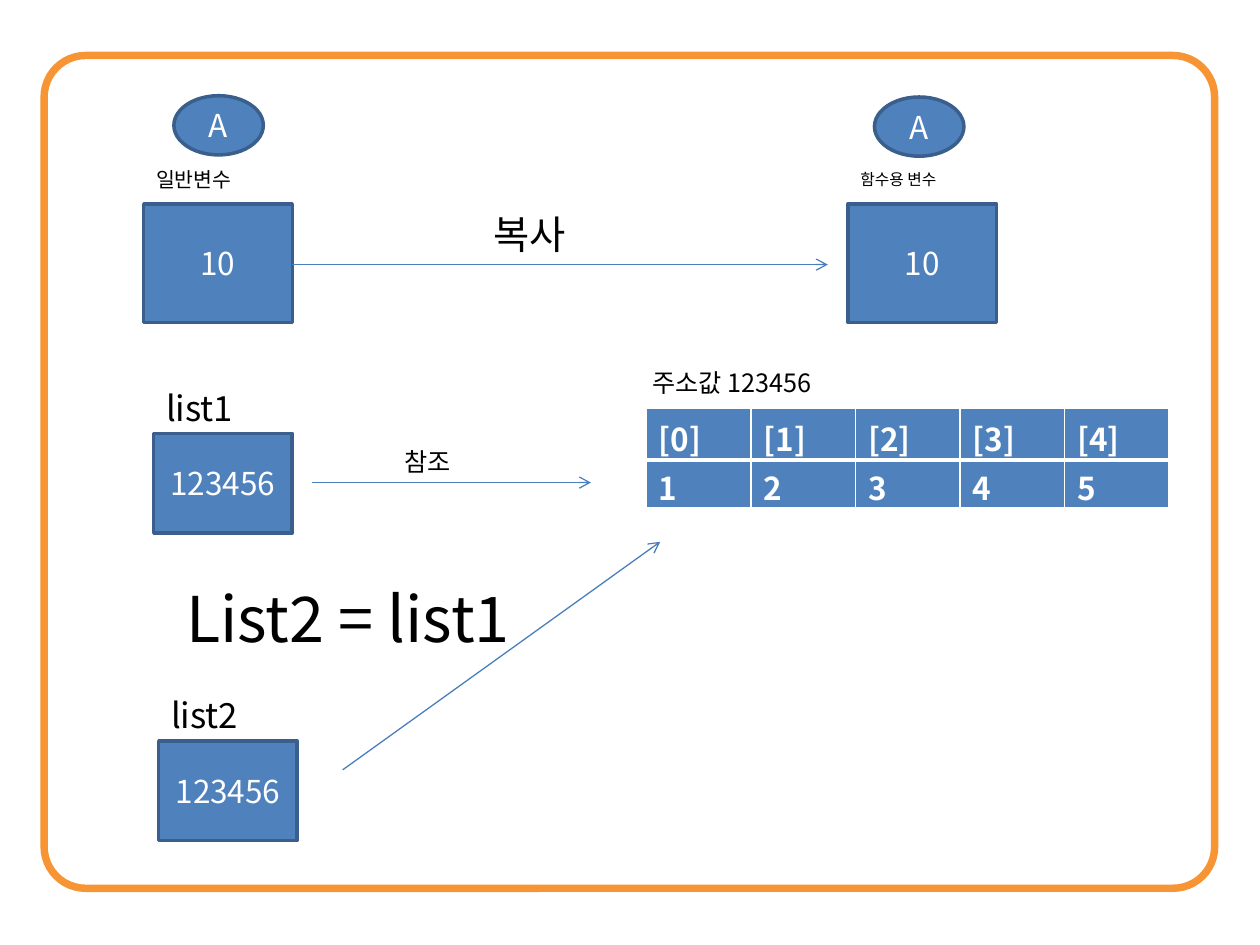
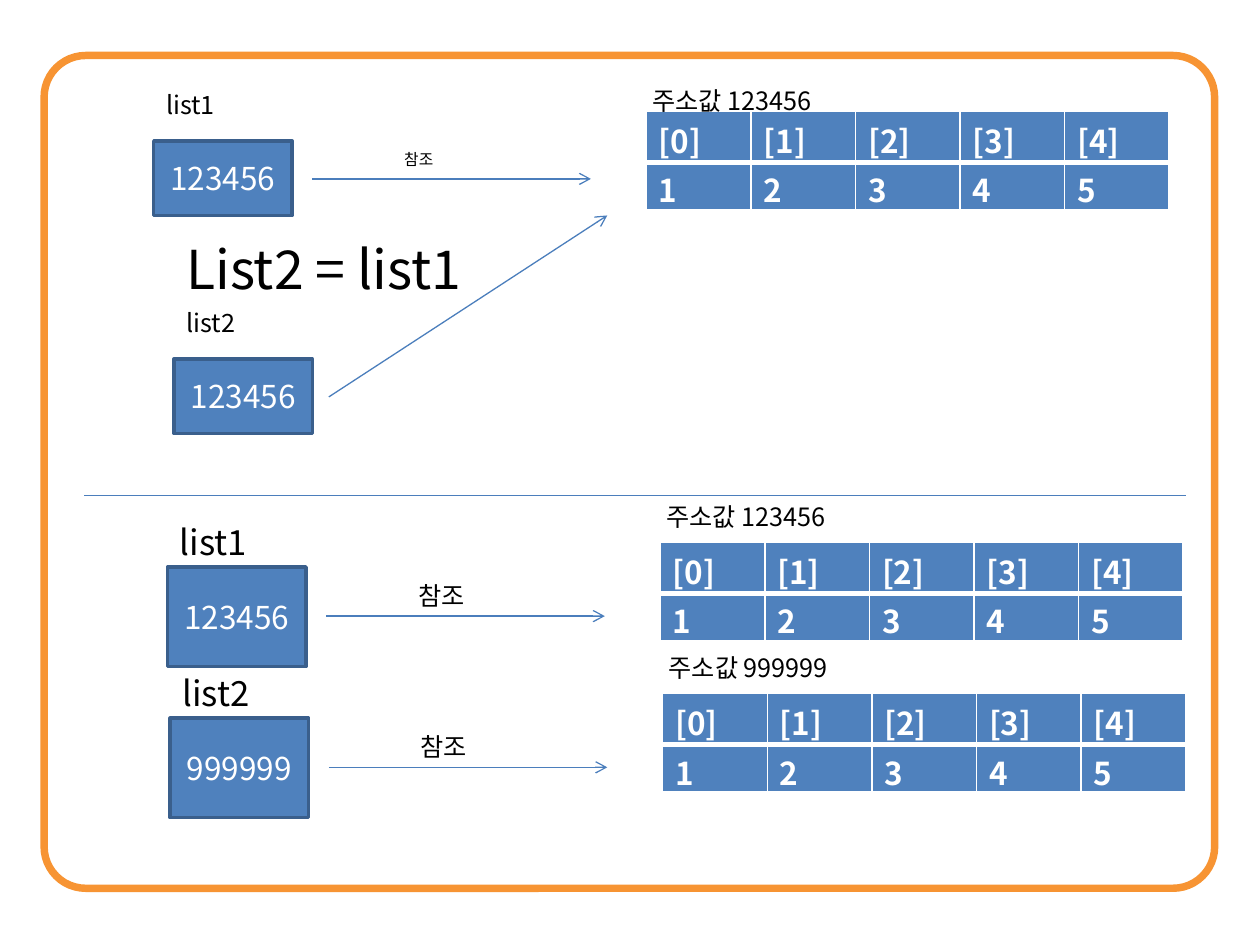
from collections import namedtuple

from lxml.etree import SubElement
from pptx import Presentation
from pptx.dml.color import RGBColor
from pptx.enum.shapes import MSO_CONNECTOR as Connector, MSO_SHAPE as Shape
from pptx.enum.text import MSO_ANCHOR as Anchor, PP_ALIGN as Align
from pptx.oxml.ns import qn
from pptx.util import Inches, Pt

FONT = "Noto Sans CJK KR"
BLUE, EDGE, ARROW = "4F81BD", "3A5F8C", "4B7EBC"
ORANGE, WHITE, BLACK = "F79433", "FFFFFF", "000000"
INDEXES = [f"[{index}]" for index in range(5)]
VALUES = ["1", "2", "3", "4", "5"]
COLUMN_WIDTH, ROW_HEIGHT, ROW_STEP = 0.83, 0.41, 0.39

Layout = namedtuple(
    "Layout",
    "box_height name_rise name_height name_size table_rise address_rise "
    "arrow_drop caption_drop caption_height caption_size",
)
TALL = Layout(0.79, 0.4, 0.39, 19.8, 0.2, 0.6, 0.39, 0.07, 0.31, 14.4)
SHORT = Layout(0.59, 0.44, 0.3, 14.4, 0.24, 0.52, 0.3, 0.02, 0.24, 9)


def color(value):
    return RGBColor.from_string(value)


class Sketch:
    def __init__(self):
        self.deck = Presentation()
        self.deck.slide_width = Inches(10)
        self.deck.slide_height = Inches(7.5)
        self.page = None

    def new_page(self):
        self.page = self.deck.slides.add_slide(self.deck.slide_layouts[6])
        frame = self.shape(Shape.ROUNDED_RECTANGLE, 0.35, 0.44, 9.29, 6.61, None, ORANGE, 4.25)
        frame.adjustments[0] = 0.05

    def add_text(self, text_frame, text, size, ink, align=Align.LEFT, bold=False):
        para = text_frame.paragraphs[0]
        para.alignment = align
        span = para.add_run()
        span.text = text
        span.font.size = Pt(size)
        span.font.bold = bold
        span.font.name = FONT
        span.font.color.rgb = color(ink)
        SubElement(span.font._element, qn("a:ea"), typeface=FONT)

    def shape(self, kind, left, top, width, height, fill=BLUE, edge=EDGE, weight=2):
        box = self.page.shapes.add_shape(
            kind, Inches(left), Inches(top), Inches(width), Inches(height))
        box.shadow.inherit = False
        if fill:
            box.fill.solid()
            box.fill.fore_color.rgb = color(fill)
        else:
            box.fill.background()
        box.line.color.rgb = color(edge)
        box.line.width = Pt(weight)
        return box

    def node(self, text, left, top, width, height, kind=Shape.RECTANGLE):
        box = self.shape(kind, left, top, width, height)
        box.text_frame.vertical_anchor = Anchor.MIDDLE
        self.add_text(box.text_frame, text, 18, WHITE, Align.CENTER)

    def label(self, text, left, top, width, height, size):
        box = self.page.shapes.add_textbox(
            Inches(left), Inches(top), Inches(width), Inches(height))
        box.text_frame.word_wrap = True
        box.text_frame.vertical_anchor = Anchor.MIDDLE
        self.add_text(box.text_frame, text, size, BLACK)

    def line(self, x1, y1, x2, y2, arrow=True):
        link = self.page.shapes.add_connector(
            Connector.STRAIGHT, Inches(x1), Inches(y1), Inches(x2), Inches(y2))
        link.line.color.rgb = color(ARROW)
        link.line.width = Pt(0.75)
        if arrow:
            SubElement(link.line._get_or_add_ln(), qn("a:tailEnd"), type="arrow")
        SubElement(link._element.spPr, qn("a:effectLst"))

    def border(self, cell, side, weight):
        edge = SubElement(cell._tc.get_or_add_tcPr(), qn(f"a:ln{side}"), w=str(Pt(weight)))
        fill = SubElement(edge, qn("a:solidFill"))
        SubElement(fill, qn("a:srgbClr"), val=WHITE)

    def table_row(self, texts, left, top):
        table = self.page.shapes.add_table(
            1, len(texts), Inches(left), Inches(top),
            Inches(COLUMN_WIDTH * len(texts)), Inches(ROW_HEIGHT)).table
        table.first_row = table.horz_banding = False
        for column, text in enumerate(texts):
            table.columns[column].width = Inches(COLUMN_WIDTH)
            cell = table.cell(0, column)
            for side, weight in (("L", 1), ("R", 1), ("T", 1), ("B", 3)):
                self.border(cell, side, weight)
            cell.fill.solid()
            cell.fill.fore_color.rgb = color(BLUE)
            self.add_text(cell.text_frame, text, 18, WHITE, bold=True)

    def variable(self, title, size, letter_left, letter_top, left):
        self.node("10", left, 1.62, 1.18, 0.94)
        self.label(title, left, 1.23, 0.94, 0.39, size)
        self.node("A", letter_left, letter_top, 0.71, 0.47, Shape.OVAL)

    def list_box(self, name, address, left, top, layout):
        self.node(address, left, top, 1.1, layout.box_height)
        self.label(name, left, top - layout.name_rise, 0.94, layout.name_height, layout.name_size)

    def list_reference(self, name, address, left, top, layout=TALL):
        self.list_box(name, address, left, top, layout)
        table_top = top - layout.table_rise
        self.table_row(VALUES, left + 3.91, table_top + ROW_STEP)
        self.table_row(INDEXES, left + 3.91, table_top)
        self.label(f"주소값 {address}", left + 3.86, top - layout.address_rise, 1.73, 0.39, 14.4)
        arrow_top = top + layout.arrow_drop
        self.line(left + 1.26, arrow_top, left + 3.47, arrow_top)
        self.label("참조", left + 1.89, top + layout.caption_drop, 0.79,
                   layout.caption_height, layout.caption_size)


def copy_and_reference(sketch):
    sketch.new_page()
    sketch.variable("일반변수", 11.7, 1.38, 0.76, 1.14)
    sketch.variable("함수용 변수", 9, 6.94, 0.77, 6.73)
    sketch.line(2.32, 2.1, 6.57, 2.1)
    sketch.label("복사", 3.82, 1.62, 0.87, 0.47, 22.5)
    sketch.list_reference("list1", "123456", 1.22, 3.44)
    sketch.label("List2 = list1", 1.38, 4.54, 3.94, 0.71, 36)
    sketch.list_box("list2", "123456", 1.26, 5.88, TALL)
    sketch.line(2.72, 6.11, 5.24, 4.3)


def shared_and_separate(sketch):
    sketch.new_page()
    sketch.list_reference("list1", "123456", 1.22, 1.12, SHORT)
    sketch.label("List2 = list1", 1.38, 1.86, 3.94, 0.53, 30.6)
    sketch.list_box("list2", "123456", 1.38, 2.85, SHORT)
    sketch.line(2.61, 3.15, 4.82, 1.71)
    sketch.line(0.67, 3.93, 9.41, 3.93, arrow=False)
    sketch.list_reference("list1", "123456", 1.33, 4.5)
    sketch.list_reference("list2", "999999", 1.35, 5.7)


def main():
    sketch = Sketch()
    copy_and_reference(sketch)
    shared_and_separate(sketch)
    sketch.deck.save("out.pptx")


if __name__ == "__main__":
    main()
